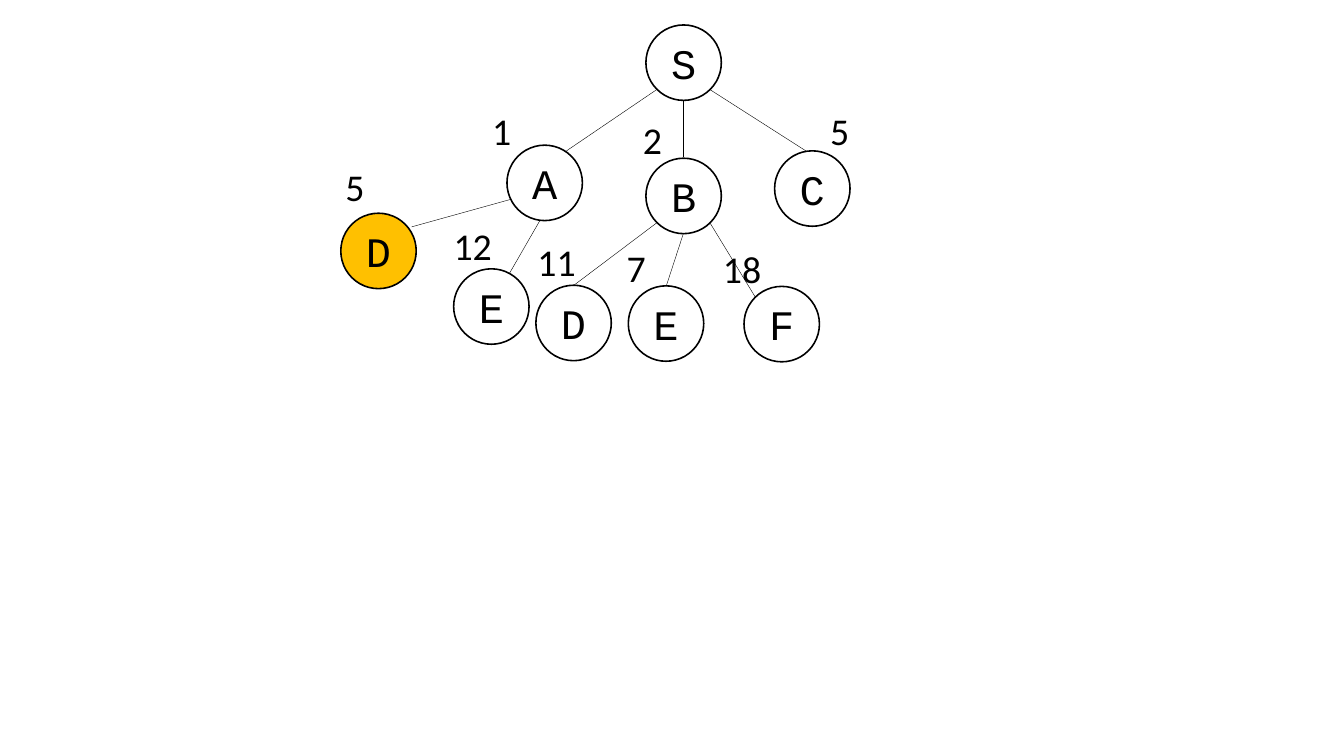
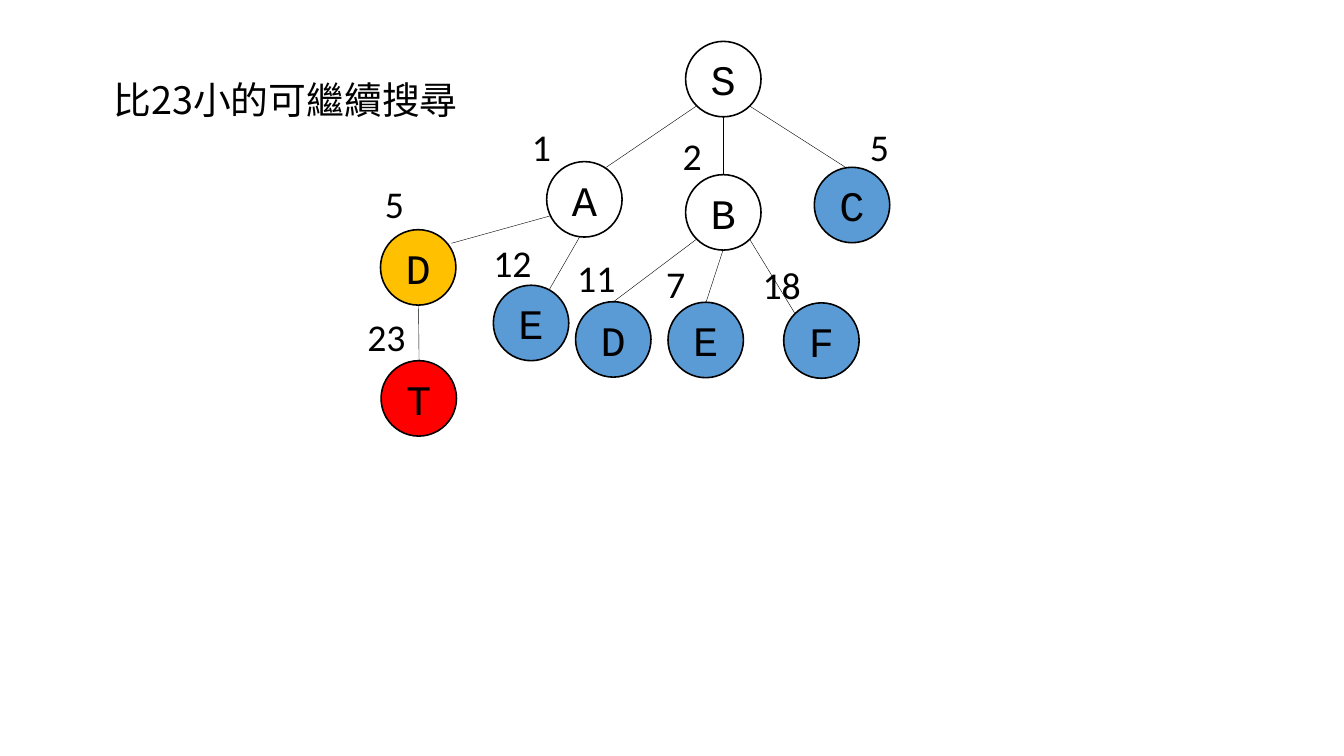
from lxml.etree import SubElement
from pptx import Presentation
from pptx.dml.color import RGBColor
from pptx.enum.shapes import MSO_CONNECTOR, MSO_SHAPE
from pptx.enum.text import MSO_ANCHOR, PP_ALIGN
from pptx.oxml.ns import qn
from pptx.util import Pt

PX = 9144  # EMU per px, 100 px to the inch
NODE_SIZE = 133
LABEL_HEIGHT = 91
BLACK, WHITE, GOLD, BLUE, RED = "000000", "FFFFFF", "FFC000", "5B9BD5", "FF0000"


def color(value):
    return RGBColor.from_string(value)


def write(frame, text, font, size, align):
    frame.text = text
    frame.word_wrap = True
    paragraph = frame.paragraphs[0]
    paragraph.alignment = align
    span = paragraph.runs[0]
    span.font.name = font
    span.font.size = Pt(size)
    span.font.color.rgb = color(BLACK)
    return span


# Search tree: edges as x1, y1, x2, y2
tree_edges = [
    (1158, 158, 999, 266), (1205, 178, 1205, 277), (1252, 158, 1421, 266),
    (1158, 393, 1012, 503), (1205, 412, 1175, 504), (1252, 393, 1332, 524),
    (899, 352, 726, 400), (952, 389, 899, 481),
]
# Nodes as letter, x, y, fill; open nodes have not been expanded yet
inner_nodes = [("S", 1139, 44, None), ("A", 894, 256, WHITE),
               ("B", 1139, 279, WHITE), ("D", 601, 376, GOLD)]
open_nodes = [("C", 1366, 266, None), ("D", 945, 503, WHITE), ("E", 1108, 504, WHITE),
              ("F", 1312, 505, None), ("E", 800, 474, WHITE)]
# Path costs as text, x, y, width
tree_costs = [
    ("2", 1124, 200, 94), ("1", 858, 185, 94), ("5", 1454, 185, 94),
    ("12", 790, 388, 127), ("5", 599, 284, 127), ("11", 938, 416, 127),
    ("7", 1095, 426, 127), ("18", 1265, 428, 127),
]
marked_nodes = [(letter, x, y, BLUE) for letter, x, y, fill in open_nodes]

# Slides as title, tree offset, edges, nodes, costs; the second adds the goal T
slides = [
    (None, 0, 0, tree_edges, inner_nodes + open_nodes, tree_costs),
    ("比23小的可繼續搜尋", 70, 29,
     tree_edges + [(668, 508, 669, 607)],
     inner_nodes + marked_nodes + [("T", 602, 607, RED)],
     tree_costs + [("23", 568, 520, 127)]),
]

deck = Presentation()
deck.slide_width, deck.slide_height = 2370 * PX, 1333 * PX
title_only, blank = deck.slide_layouts[5], deck.slide_layouts[6]

for title, dx, dy, edges, nodes, costs in slides:
    page = deck.slides.add_slide(title_only if title else blank)

    # Title
    if title:
        box = page.shapes.title
        box.left, box.top, box.width, box.height = 109 * PX, 131 * PX, 789 * PX, 91 * PX
        box.text_frame.vertical_anchor = MSO_ANCHOR.TOP
        span = write(box.text_frame, title, "Noto Sans CJK SC", 48, PP_ALIGN.CENTER)
        SubElement(span.font._element, qn("a:ea"), typeface="Noto Sans CJK SC")

    # Edges
    for x1, y1, x2, y2 in edges:
        edge = page.shapes.add_connector(
            MSO_CONNECTOR.STRAIGHT,
            (x1 + dx) * PX, (y1 + dy) * PX, (x2 + dx) * PX, (y2 + dy) * PX)
        edge.line.color.rgb = color(BLACK)
        edge.line.width = Pt(0.5)
        SubElement(edge._element.spPr, qn("a:effectLst"))

    # Nodes
    for letter, x, y, fill in nodes:
        node = page.shapes.add_shape(
            MSO_SHAPE.OVAL, (x + dx) * PX, (y + dy) * PX, NODE_SIZE * PX, NODE_SIZE * PX)
        node.shadow.inherit = False
        if fill:
            node.fill.solid()
            node.fill.fore_color.rgb = color(fill)
        else:
            node.fill.background()
        node.line.color.rgb = color(BLACK)
        node.line.width = Pt(2)
        node.text_frame.vertical_anchor = MSO_ANCHOR.MIDDLE
        write(node.text_frame, letter, "Courier New", 53.3, PP_ALIGN.CENTER)

    # Path costs
    for cost, x, y, width in costs:
        box = page.shapes.add_textbox(
            (x + dx) * PX, (y + dy) * PX, width * PX, LABEL_HEIGHT * PX)
        write(box.text_frame, cost, "Calibri", 48, PP_ALIGN.LEFT)

deck.save("out.pptx")
